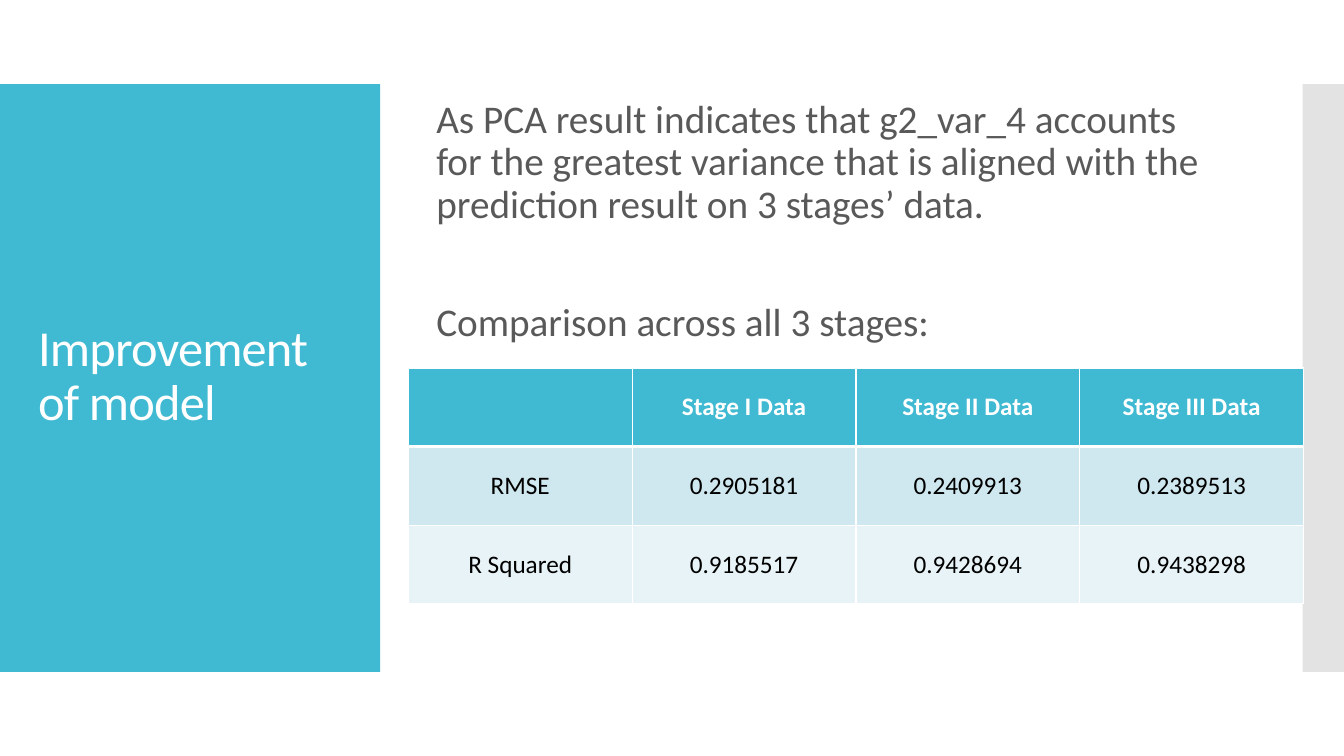
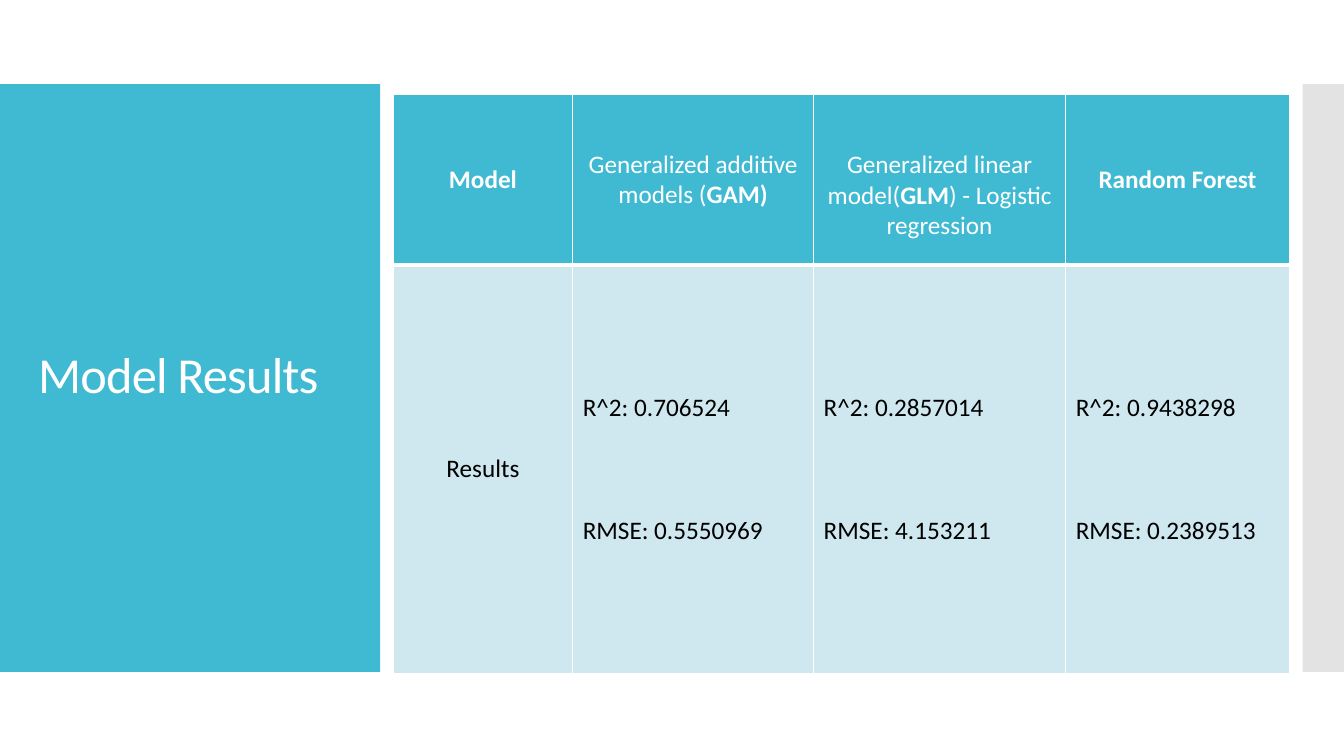
"""Build two slides that compare prediction models in banded tables."""
from lxml import etree
from pptx import Presentation, util as u
from pptx.dml.color import RGBColor
from pptx.enum import shapes, text
from pptx.oxml.ns import qn

COLORS = {"accent": "40BAD2", "edge": "E3E3E3", "white": "FFFFFF", "body": "595959",
          "black": "000000", "row_dark": "CFE7EE", "row_light": "E8F3F7"}
FONT = "Calibri"
WIDTH, HEIGHT = 13.33, 7.5
BAND_TOP, BAND_HEIGHT = HEIGHT / 9, HEIGHT * 7 / 9
BANDS = [(0, 3.77, "accent"), (12.92, WIDTH - 12.92, "edge")]
CENTER, LEFT = text.PP_ALIGN.CENTER, text.PP_ALIGN.LEFT

# Asterisks enclose bold words; a tuple holds the paragraphs of one cell.
SLIDES = [
    {
        "title": "Improvement of model",
        "body": [
            "As PCA result indicates that g2_var_4 accounts for the greatest variance "
            "that is aligned with the prediction result on 3 stages’ data.",
            "Comparison across all 3 stages:",
        ],
        "table": {
            "origin": (4.05, 3.65), "columns": [2.22] * 4, "rows": [0.78] * 3,
            "margins": (0, 0), "top_margins": {},
            "cells": [
                ["", "*Stage I Data*", "*Stage II Data*", "*Stage III Data*"],
                ["RMSE", "0.2905181", "0.2409913", "0.2389513"],
                ["R Squared", "0.9185517", "0.9428694", "0.9438298"],
            ],
        },
    },
    {
        "title": "Model Results",
        "body": [],
        "table": {
            "origin": (3.9, 0.94), "columns": [1.78, 2.39, 2.5, 2.22], "rows": [1.69, 4.05],
            "margins": (0.1, 0.05), "top_margins": {(0, 2): 0.36},
            "cells": [
                ["*Model*", "Generalized additive models (*GAM)*",
                 "Generalized linear model(*GLM*) - Logistic regression", "*Random Forest*"],
                ["Results",
                 ("R^2: 0.706524", "RMSE: 0.5550969"),
                 ("R^2: 0.2857014", "RMSE: 4.153211"),
                 ("R^2: 0.9438298", "RMSE: 0.2389513")],
            ],
        },
    },
]


def rgb(name):
    return RGBColor.from_string(COLORS[name])


def write(frame, paragraphs, size, color, align=LEFT, line=1.0, gap=0, tracking=0):
    for index, content in enumerate(paragraphs):
        paragraph = frame.add_paragraph() if index else frame.paragraphs[0]
        paragraph.alignment = align
        paragraph.line_spacing = line
        paragraph.space_before = u.Pt(gap if index else 0)
        for part, words in enumerate(content.split("*")):
            if not words:
                continue
            run = paragraph.add_run()
            run.text = words
            run.font.name, run.font.size = FONT, u.Pt(size)
            run.font.bold = part % 2 == 1
            run.font.color.rgb = rgb(color)
            if tracking:
                run._r.get_or_add_rPr().set("spc", str(round(tracking * 100)))


def add_text(slide, box, paragraphs, size, color, anchor, **style):
    frame = slide.shapes.add_textbox(*map(u.Inches, box)).text_frame
    frame.word_wrap = True
    frame.vertical_anchor = anchor
    write(frame, paragraphs, size, color, line=0.9, **style)


def add_bands(slide):
    for left, width, color in BANDS:
        box = map(u.Inches, (left, BAND_TOP, width, BAND_HEIGHT))
        band = slide.shapes.add_shape(shapes.MSO_SHAPE.RECTANGLE, *box)
        band.shadow.inherit = False
        band.fill.solid()
        band.fill.fore_color.rgb = rgb(color)
        band.line.fill.background()


def set_borders(cell, widths):
    properties = cell._tc.get_or_add_tcPr()
    for index, (side, width) in enumerate(widths.items()):
        border = etree.Element(qn(f"a:ln{side}"), w=str(u.Pt(width)))
        fill = etree.SubElement(border, qn("a:solidFill"))
        etree.SubElement(fill, qn("a:srgbClr"), val=COLORS["white"])
        properties.insert(index, border)


def add_results(slide, origin, columns, rows, margins, top_margins, cells):
    box = map(u.Inches, (*origin, sum(columns), sum(rows)))
    table = slide.shapes.add_table(len(rows), len(columns), *box).table
    for column, width in zip(table.columns, columns):
        column.width = u.Inches(width)
    for row, height in zip(table.rows, rows):
        row.height = u.Inches(height)
    side, edge = margins
    for r, values in enumerate(cells):
        for c, value in enumerate(values):
            cell = table.cell(r, c)
            cell.margin_left = cell.margin_right = u.Inches(side)
            cell.margin_top = u.Inches(top_margins.get((r, c), edge))
            cell.margin_bottom = u.Inches(edge)
            cell.vertical_anchor = text.MSO_ANCHOR.MIDDLE
            cell.fill.solid()
            cell.fill.fore_color.rgb = rgb(("accent", "row_dark", "row_light")[r])
            set_borders(cell, {"L": 1, "R": 1, "T": 3 if r == 1 else 1, "B": 1 if r else 3})
            listed = isinstance(value, tuple)
            write(cell.text_frame, value if listed else [value], 18,
                  "black" if r else "white", LEFT if listed else CENTER, gap=66)


def main():
    deck = Presentation()
    deck.slide_width, deck.slide_height = u.Inches(WIDTH), u.Inches(HEIGHT)
    for content in SLIDES:
        slide = deck.slides.add_slide(deck.slide_layouts[6])
        add_bands(slide)
        add_text(slide, (0.28, 1.23, 3.22, 5.03), [content["title"]], 36, "white",
                 text.MSO_ANCHOR.MIDDLE, tracking=-0.6)
        if content["body"]:
            add_text(slide, (4.23, 0.94, 8, 5.6), content["body"], 28, "body",
                     text.MSO_ANCHOR.TOP, gap=54)
        add_results(slide, **content["table"])
    deck.save("out.pptx")


if __name__ == "__main__":
    main()
